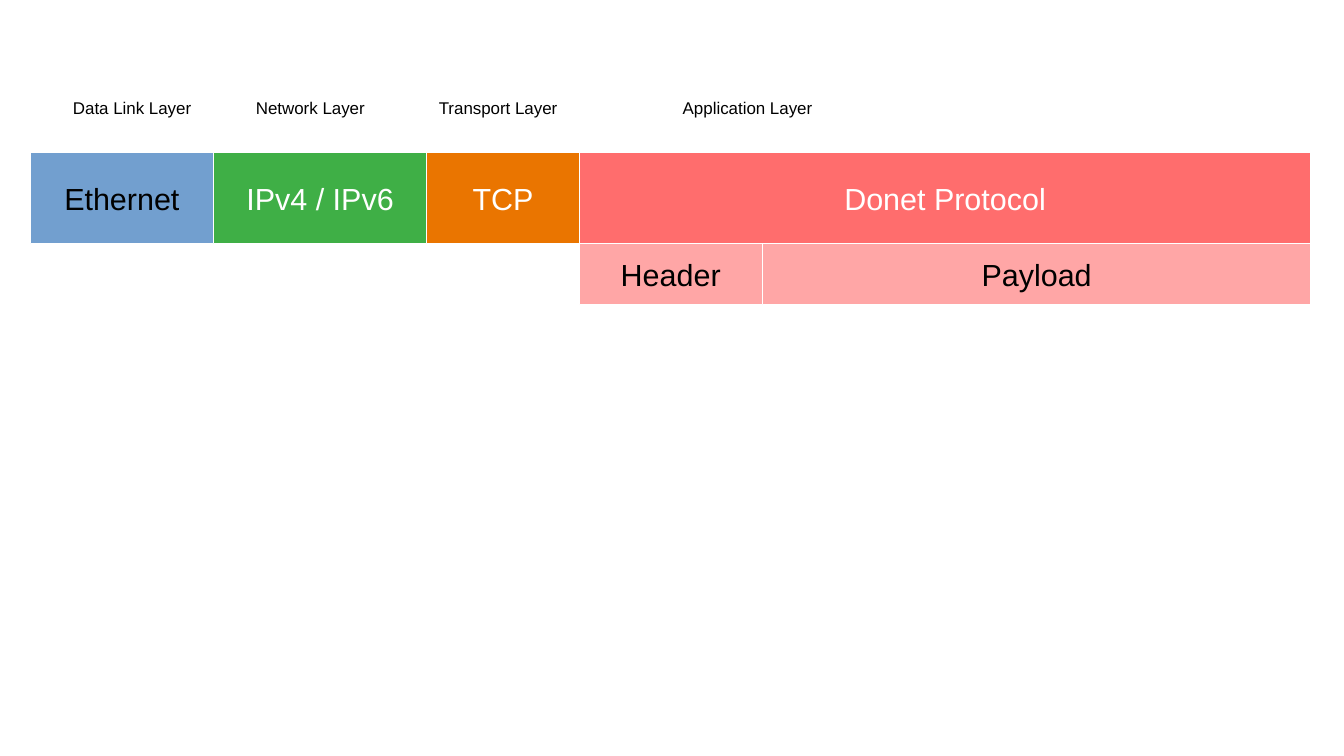
from pptx import Presentation
from pptx.dml.color import RGBColor
from pptx.enum.shapes import MSO_SHAPE
from pptx.enum.text import MSO_ANCHOR, MSO_AUTO_SIZE, PP_ALIGN
from pptx.util import Inches, Pt

GRID = 0.25  # grid unit in inches
BLACK, WHITE = "000000", "FFFFFF"


def color(hex_code):
    return RGBColor.from_string(hex_code)


def add_text(frame, text, size, hex_code):
    run = frame.paragraphs[0].add_run()
    run.text = text
    run.font.name = "Arial"
    run.font.size = Pt(size)
    run.font.color.rgb = color(hex_code)


presentation = Presentation()
presentation.slide_width = Inches(11.02)
presentation.slide_height = Inches(6.2)
slide = presentation.slides.add_slide(presentation.slide_layouts[6])

# Packet rows: top and height in grid units, first column, then the segments
packet_rows = [
    (5, 3, 1, [
        ("Ethernet", 6, "729FCF", BLACK),
        ("IPv4 / IPv6", 7, "3FAF46", WHITE),
        ("TCP", 5, "EA7500", WHITE),
        ("Donet Protocol", 24, "FF6D6D", WHITE),
    ]),
    (8, 2, 19, [
        ("Header", 6, "FFA6A6", BLACK),
        ("Payload", 18, "FFA6A6", BLACK),
    ]),
]
for top, height, column, segments in packet_rows:
    for text, columns, fill, ink in segments:
        segment = slide.shapes.add_shape(
            MSO_SHAPE.RECTANGLE, Inches(column * GRID), Inches(top * GRID),
            Inches(columns * GRID), Inches(height * GRID))
        segment.shadow.inherit = False
        segment.fill.solid()
        segment.fill.fore_color.rgb = color(fill)
        segment.line.color.rgb = color(WHITE)
        segment.line.width = Pt(0)
        segment.text_frame.vertical_anchor = MSO_ANCHOR.MIDDLE
        segment.text_frame.paragraphs[0].alignment = PP_ALIGN.CENTER
        add_text(segment.text_frame, text, 18, ink)
        column += columns

# Layer labels above the packet: first column and width in inches
layers = [
    ("Data Link Layer", 2, 1.17),
    ("Network Layer", 8, 1.09),
    ("Transport Layer", 14, 1.17),
    ("Application Layer", 22, 1.26),
]
for text, column, width in layers:
    label = slide.shapes.add_textbox(
        Inches(column * GRID), Inches(3 * GRID), Inches(width), Inches(GRID))
    label.text_frame.word_wrap = False
    label.text_frame.auto_size = MSO_AUTO_SIZE.SHAPE_TO_FIT_TEXT
    add_text(label.text_frame, text, 10, BLACK)

presentation.save("out.pptx")
